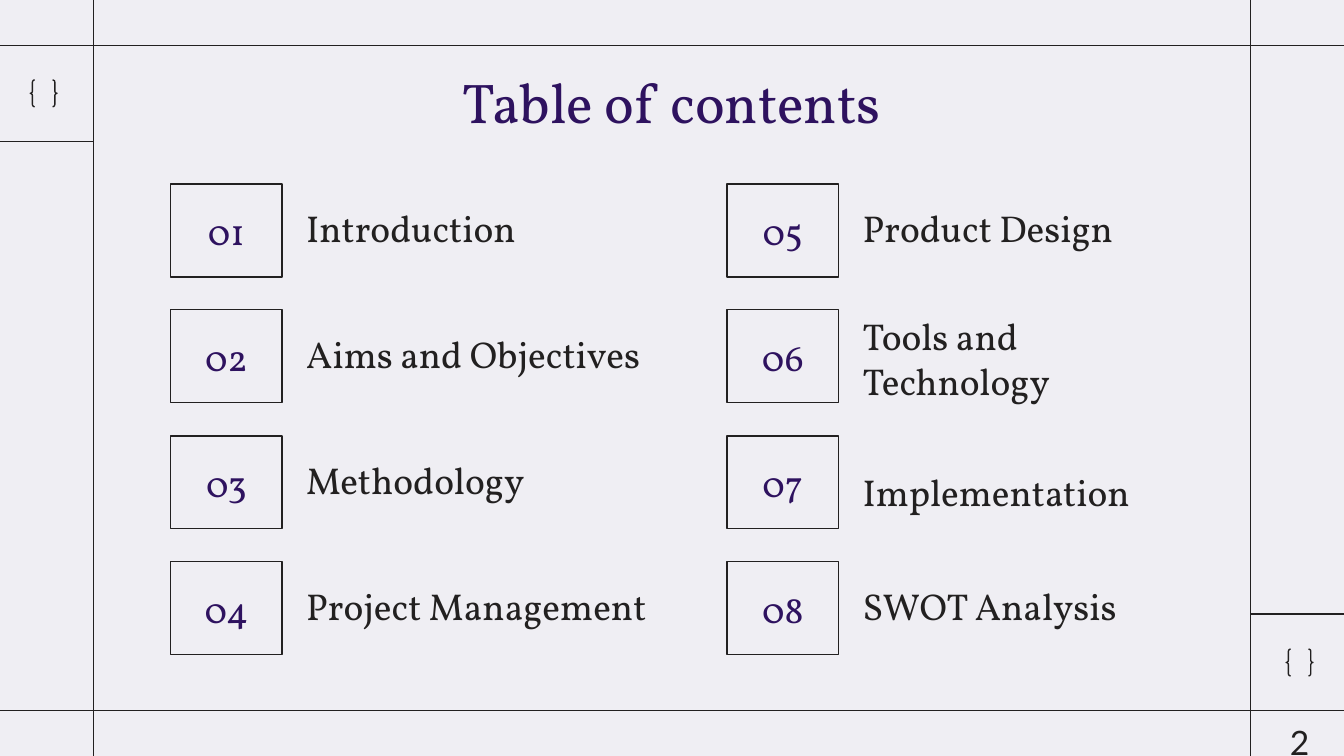
from lxml.etree import SubElement
from pptx import Presentation
from pptx.dml.color import RGBColor
from pptx.enum.shapes import MSO_CONNECTOR as Connector, MSO_SHAPE as Preset
from pptx.enum.text import MSO_ANCHOR as Anchor, PP_ALIGN as Align
from pptx.oxml.ns import qn
from pptx.util import Emu, Pt

PX = 4572  # 200 px to the inch
WIDTH, HEIGHT = 2000, 1125
INK, PURPLE, PAPER = "222020", "2E125F", "EFEEF3"

# Columns of (label, label width, label bottom below the top of its number box)
COLUMNS = [
    (254, [("Introduction", 386, 118), ("Aims and Objectives", 564, 118),
           ("Methodology", 386, 118), ("Project Management", 600, 118)]),
    (1082, [("Product Design", 482, 118), ("Tools and Technology", 386, 159),
            ("Implementation", 482, 136), ("SWOT Analysis", 462, 118)]),
]


def px(*lengths):
    return [Emu(length * PX) for length in lengths]


def color(hex_code):
    return RGBColor.from_string(hex_code)


def set_all(target, formats):
    for name, value in formats.items():
        setattr(target, name, value)


def write(shape, text, size, hex_code, align=Align.LEFT, anchor=Anchor.TOP,
          font="Vollkorn", spacing=1.0):
    frame = shape.text_frame
    inset = px(20)[0]
    set_all(frame, {"word_wrap": True, "vertical_anchor": anchor,
                    "margin_left": inset, "margin_right": inset,
                    "margin_top": inset, "margin_bottom": inset})
    paragraph = frame.paragraphs[0]
    set_all(paragraph, {"alignment": align, "line_spacing": spacing})
    run = paragraph.add_run()
    run.text = text
    set_all(run.font, {"size": Pt(size), "name": font})
    run.font.color.rgb = color(hex_code)


def ink_line(shape):
    shape.line.color.rgb = color(INK)
    shape.line.width = Pt(0.75)


def add_outline(slide, preset, box):
    shape = slide.shapes.add_shape(preset, *px(*box))
    shape.shadow.inherit = False
    shape.fill.background()
    ink_line(shape)
    return shape


def add_rule(slide, start, end):
    rule = slide.shapes.add_connector(Connector.STRAIGHT, *px(*start, *end))
    ink_line(rule)
    SubElement(rule._element.spPr, qn("a:effectLst"))


def add_frame(slide, left, top, right, bottom):
    """Margin rules with a braces cell at two opposite corners."""
    cell, brace, bleed = 143, 40, 2
    for y in (top, bottom):
        add_rule(slide, (-bleed, y), (WIDTH + bleed, y))
    for x in (left, right):
        add_rule(slide, (x, HEIGHT), (x, 0))
    add_rule(slide, (-bleed, top + cell), (left, top + cell))
    add_rule(slide, (right, bottom - cell), (WIDTH + bleed, bottom - cell))
    for x, y in ((left - 94, top + 51), (right + 53, bottom - 91)):
        add_outline(slide, Preset.DOUBLE_BRACE, (x, y, brace, brace))


def add_entry(slide, left, top, number, label, label_width, label_bottom):
    """A numbered box with its label to the right."""
    number_box = add_outline(slide, Preset.RECTANGLE, (left, top, 166, 138))
    write(number_box, f"{number:02}", 20, PURPLE, Align.CENTER, Anchor.MIDDLE)
    label_height = 80
    label_box = slide.shapes.add_textbox(
        *px(left + 182, top + label_bottom - label_height, label_width, label_height))
    write(label_box, label, 20, INK, anchor=Anchor.BOTTOM)


def add_contents(slide, top, bottom):
    """Columns of entries spread evenly from the first row to the last."""
    number = 1
    for left, entries in COLUMNS:
        pitch = (bottom - top) / (len(entries) - 1)
        for row, entry in enumerate(entries):
            add_entry(slide, left, round(top + row * pitch), number, *entry)
            number += 1


def main():
    deck = Presentation()
    deck.slide_width, deck.slide_height = px(WIDTH, HEIGHT)
    slide = deck.slides.add_slide(deck.slide_layouts[6])
    slide.background.fill.solid()
    slide.background.fill.fore_color.rgb = color(PAPER)

    add_frame(slide, 139, 68, 1861, 1057)

    # Heading
    heading = slide.shapes.add_textbox(*px(157, 80, 1686, 120))
    write(heading, "Table of contents", 30, PURPLE, Align.CENTER)

    add_contents(slide, 274, 836)

    # Page number
    page_number = slide.shapes.add_textbox(*px(1886, 1046, 96, 80))
    write(page_number, "2", 18, INK, Align.CENTER, font="Lato", spacing=1.15)

    deck.save("out.pptx")


if __name__ == "__main__":
    main()
